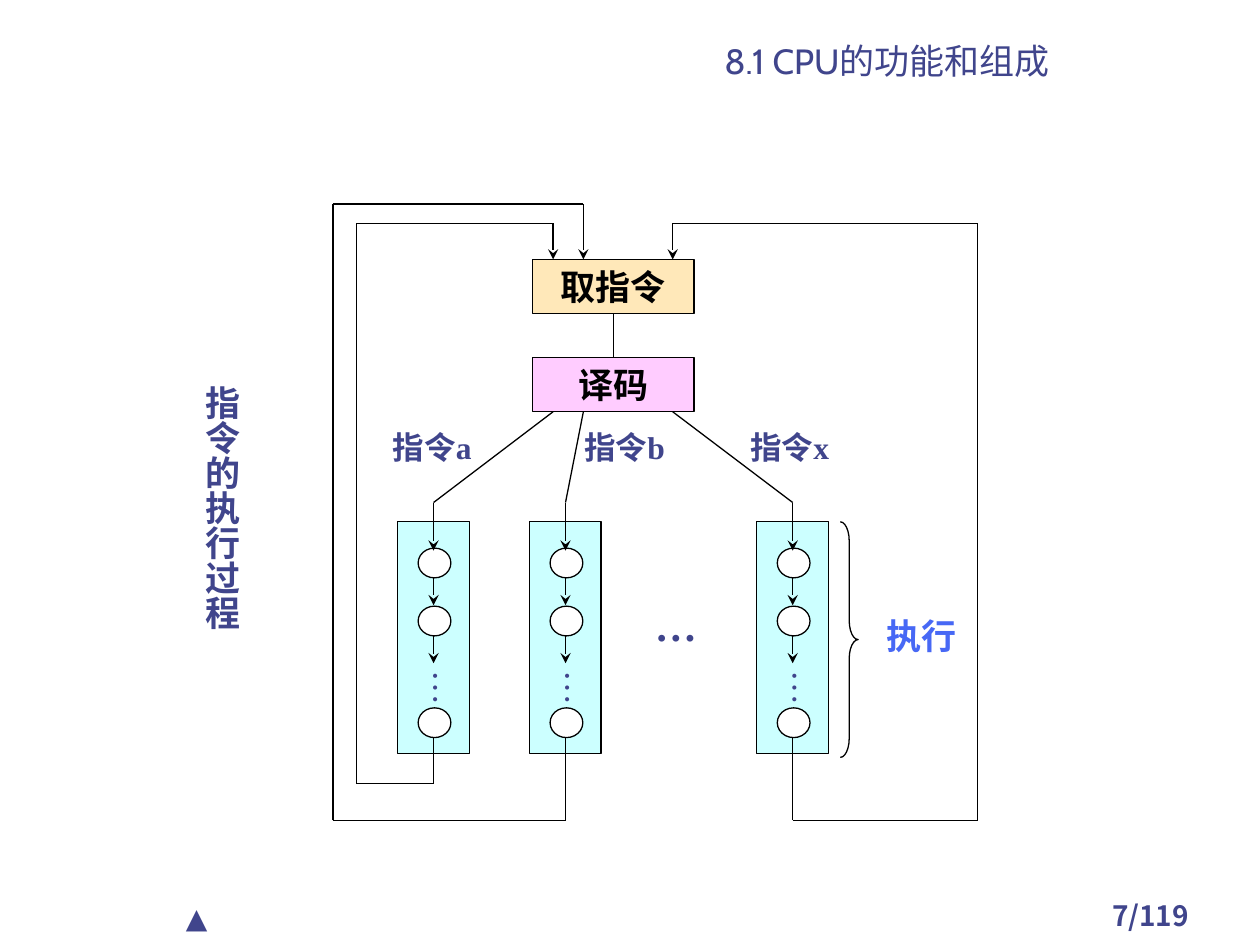
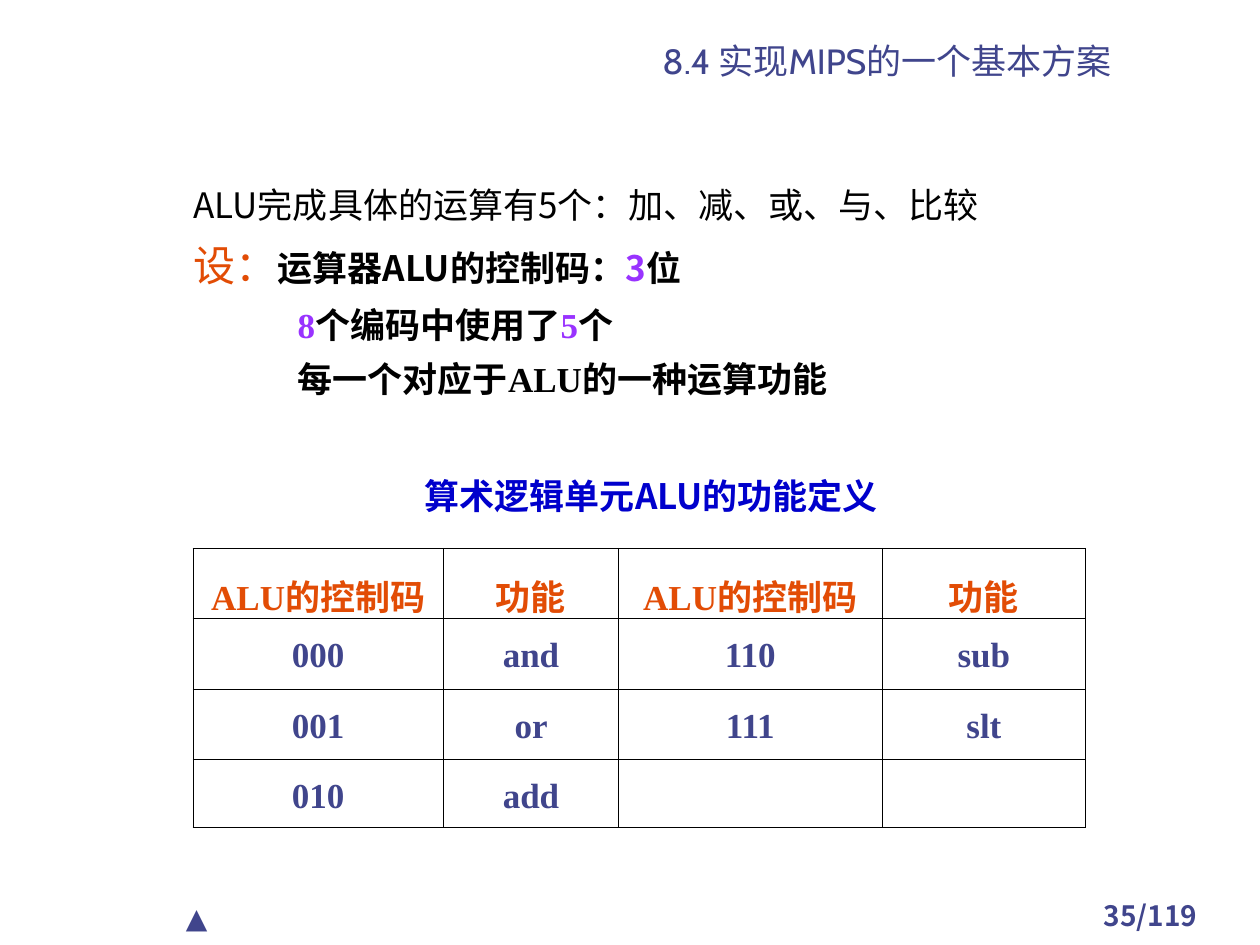
from pptx import Presentation
from pptx.dml.color import RGBColor
from pptx.enum.shapes import MSO_CONNECTOR, MSO_SHAPE
from pptx.enum.text import MSO_ANCHOR, PP_ALIGN
from pptx.oxml.ns import qn
from pptx.util import Cm, Pt
from lxml.etree import SubElement

COLORS = {
    "ink": "40458C", "black": "000000", "white": "FFFFFF", "fetch": "FFE8B9",
    "decode": "FFCCFF", "step": "CCFFFF", "execute": "4768F5",
    "accent": "E24C05", "number": "9933FF", "caption": "0000CC",
}
CABIN, NOTO, TIMES = "Cabin", "Noto Sans CJK SC", "Times New Roman"
TOTAL = 119


def rgb(name):
    return RGBColor.from_string(COLORS[name])


class Deck:
    """Holds the presentation, its style and the current slide."""

    def __init__(self):
        self.prs = Presentation()
        self.prs.slide_width, self.prs.slide_height = Cm(25.4), Cm(19.05)
        self.s = None

    def slide(self, title, number):
        self.s = self.prs.slides.add_slide(self.prs.slide_layouts[6])
        self.text(21.39, 17.98, 3.61, 0.84, f"{number}/{TOTAL}", 16, font=NOTO,
                  bold=True, align=PP_ALIGN.CENTER)
        self.text(3.5, 18.03, 3.61, 0.94, "▲", 16, font=CABIN)
        tf = self.text(10.8, 0.69, 14.17, 1.07, title, 20, font=CABIN,
                       align=PP_ALIGN.CENTER)
        tf.vertical_anchor = MSO_ANCHOR.BOTTOM

    def style(self, r, size, color="ink", font=TIMES, bold=False):
        r.font.size, r.font.bold, r.font.name = Pt(size), bold, font
        r.font.color.rgb = rgb(color)
        SubElement(r.font._element, qn("a:ea")).set("typeface", NOTO)

    def text(self, x, y, w, h, text, size, color="ink", font=TIMES, bold=False,
             align=PP_ALIGN.LEFT, vertical=False):
        tf = self.s.shapes.add_textbox(Cm(x), Cm(y), Cm(w), Cm(h)).text_frame
        tf.word_wrap = True
        tf.text = text
        p = tf.paragraphs[0]
        p.alignment = align
        self.style(p.runs[0], size, color, font, bold)
        if vertical:
            tf._txBody.bodyPr.set("vert", "eaVert")
            tf.margin_left = tf.margin_right = Cm(0.13)
            tf.margin_top = tf.margin_bottom = Cm(0.25)
        return tf

    def paragraphs(self, x, y, w, h, items):
        """Each item is (indent in cm, [(text, size, color, font, bold), ...])."""
        tf = self.s.shapes.add_textbox(Cm(x), Cm(y), Cm(w), Cm(h)).text_frame
        tf.word_wrap = True
        for i, (indent, runs) in enumerate(items):
            p = tf.add_paragraph() if i else tf.paragraphs[0]
            p.line_spacing, p.space_before = 1.1, Pt(5)
            p._p.get_or_add_pPr().set("marL", str(Cm(indent)))
            for text, *look in runs:
                r = p.add_run()
                r.text = text
                self.style(r, *look)

    def shape(self, kind, x, y, w, h, fill=None, text=None):
        sp = self.s.shapes.add_shape(kind, Cm(x), Cm(y), Cm(w), Cm(h))
        sp.shadow.inherit = False
        sp.line.color.rgb, sp.line.width = rgb("black"), Pt(0.75)
        if fill:
            sp.fill.solid()
            sp.fill.fore_color.rgb = rgb(fill)
        else:
            sp.fill.background()
        if text:
            sp.text_frame.text = text
            p = sp.text_frame.paragraphs[0]
            p.alignment = PP_ALIGN.CENTER
            self.style(p.runs[0], 20, "black", bold=True)
        return sp

    def line(self, start, end, arrow=False):
        c = self.s.shapes.add_connector(
            MSO_CONNECTOR.STRAIGHT, *(Cm(v) for v in (*start, *end)))
        c.line.color.rgb, c.line.width = rgb("black"), Pt(0.75)
        if arrow:
            SubElement(c.line._get_or_add_ln(), qn("a:tailEnd")).set("type", "stealth")
        SubElement(c._element.spPr, qn("a:effectLst"))
        return c

    def route(self, *points):
        """Straight legs through the points, with an arrowhead on the last."""
        for i in range(1, len(points)):
            self.line(points[i - 1], points[i], arrow=i == len(points) - 1)

    def table(self, x, y, widths, heights, rows):
        t = self.s.shapes.add_table(len(rows), len(widths), Cm(x), Cm(y),
                                    Cm(sum(widths)), Cm(sum(heights))).table
        t.first_row = t.horz_banding = False
        for col, w in zip(t.columns, widths):
            col.width = Cm(w)
        for row, h in zip(t.rows, heights):
            row.height = Cm(h)
        for i, values in enumerate(rows):
            for j, value in enumerate(values):
                self.cell(t.cell(i, j), value, "ink" if i else "accent")

    def cell(self, cell, value, color):
        tcPr = cell._tc.get_or_add_tcPr()
        for side in ("lnL", "lnR", "lnT", "lnB"):
            ln = SubElement(tcPr, qn(f"a:{side}"), w=str(Pt(0.45)))
            fill = SubElement(ln, qn("a:solidFill"))
            SubElement(fill, qn("a:srgbClr"), val=COLORS["black"])
        cell.fill.background()
        if value:
            cell.text = value
            p = cell.text_frame.paragraphs[0]
            p.alignment, p.line_spacing = PP_ALIGN.CENTER, 1.3
            self.style(p.runs[0], 20, color, bold=True)


def instruction_cycle(d):
    d.slide("8.1 CPU的功能和组成", 7)
    d.text(3.5, 7.52, 1.52, 5.7, "指令的执行过程", 20, font=CABIN, bold=True,
           vertical=True)

    # Fetch and decode
    fetch_top, decode_bottom = 5.23, 8.3
    fetch = d.shape(MSO_SHAPE.RECTANGLE, 10.74, fetch_top, 3.25, 1.09, "fetch", "取指令")
    decode = d.shape(MSO_SHAPE.RECTANGLE, 10.74, 7.21, 3.25, 1.09, "decode", "译码")
    link = d.line((12.37, 6.32), (12.37, 7.21))
    link.begin_connect(fetch, 2)
    link.end_connect(decode, 0)

    # One column per instruction, with the way back to fetch
    # label, label x, column x, port x, return y, side x, top y
    columns = [
        ("指令a", 7.67, 8.74, 11.15, 15.8, 7.19, 4.5),
        ("指令b", 11.53, 11.4, 11.76, 16.54, 6.71, 4.11),
        ("指令x", 14.88, 15.98, 13.56, 16.54, 19.71, 4.5),
    ]
    for label, label_x, x, port, low, side, top in columns:
        d.text(label_x, 8.51, 2.77, 1.27, label, 18, bold=True)
        d.shape(MSO_SHAPE.RECTANGLE, x - 0.73, 10.52, 1.45, 4.67, "step")
        d.text(x - 0.48, 13.26, 1.32, 1.45, "…", 20, vertical=True)
        for y in (11.05, 12.22, 14.27):
            d.shape(MSO_SHAPE.OVAL, x - 0.31, y, 0.66, 0.6, "white")
        d.route((port, decode_bottom), (x, 10.13), (x, 11.1))
        for y in (11.66, 12.83):
            d.line((x, y), (x, y + 0.54), arrow=True)
        d.route((x, 14.88), (x, low), (side, low), (side, top), (port, top),
                (port, fetch_top))

    # Execute phase
    d.text(12.95, 11.96, 1.93, 1.27, "…", 24, bold=True)
    brace = d.shape(MSO_SHAPE.RIGHT_BRACE, 16.94, 10.52, 0.36, 4.75)
    brace.adjustments[0] = 1.07
    d.text(17.63, 12.27, 2.06, 1.3, "执行", 20, "execute", bold=True)


def alu_control(d):
    d.slide("8.4 实现MIPS的一个基本方案", 35)

    # Assumptions
    plain = (20, "black", NOTO, True)
    number = (20, "number", TIMES, True)
    d.paragraphs(1.9, 3.5, 21.2, 5.6, [
        (1.75, [("ALU完成具体的运算有5个：加、减、或、与、比较", 20, "black", NOTO)]),
        (1.75, [("设：", 24, "accent"), ("运算器ALU的控制码：", *plain),
                ("3", 20, "number", NOTO, True), ("位", *plain)]),
        (3.85, [("8", *number), ("个编码中使用了", *plain), ("5", *number),
                ("个", *plain)]),
        (3.85, [("每一个对应于ALU的一种运算功能", 20, "black", TIMES, True)]),
    ])

    # Function table
    d.text(8.31, 9.45, 10.39, 1.27, "算术逻辑单元ALU的功能定义", 20, "caption",
           NOTO, True)
    d.table(3.89, 11.05, [5.05, 3.53, 5.31, 4.11], [1.42, 1.42, 1.42, 1.37], [
        ["ALU的控制码", "功能"] * 2,
        ["000", "and", "110", "sub"],
        ["001", "or", "111", "slt"],
        ["010", "add", "", ""],
    ])


def main():
    d = Deck()
    instruction_cycle(d)
    alu_control(d)
    d.prs.save("out.pptx")


if __name__ == "__main__":
    main()
